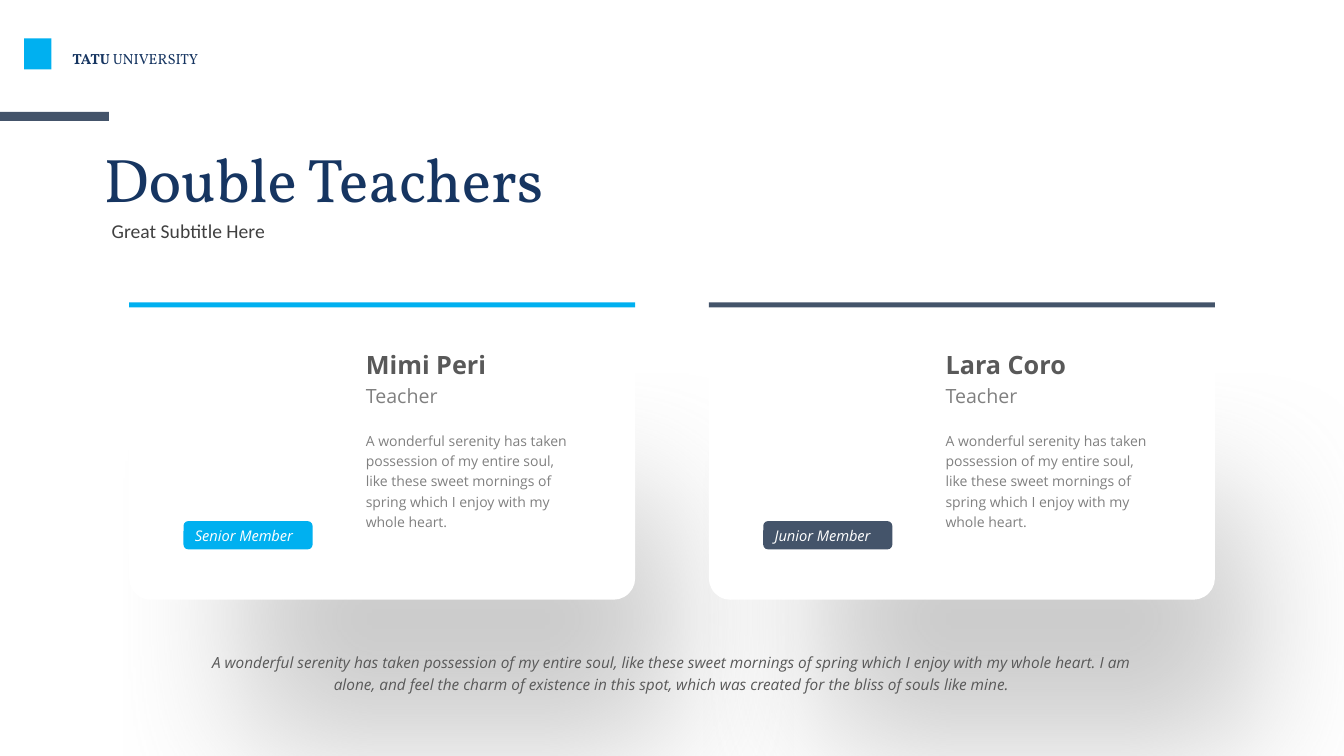
"""Build the Double Teachers slide with two profile cards."""
import pptx
import pptx.dml.color
import pptx.enum.shapes
import pptx.enum.text
import pptx.oxml
import pptx.oxml.ns
import pptx.util

RGBColor = pptx.dml.color.RGBColor
Shape = pptx.enum.shapes.MSO_SHAPE
Align = pptx.enum.text.PP_ALIGN
Anchor = pptx.enum.text.MSO_ANCHOR

WHITE = RGBColor(0xFF, 0xFF, 0xFF)
NAVY = RGBColor(0x16, 0x35, 0x61)
SLATE = RGBColor(0x44, 0x54, 0x6A)
SKY = RGBColor(0x00, 0xB0, 0xF0)
INK = RGBColor(0x40, 0x40, 0x40)
DARK_GREY = RGBColor(0x59, 0x59, 0x59)
GREY = RGBColor(0x80, 0x80, 0x80)

CARD_LEFT, CARD_TOP, CARD_PITCH = 1.28, 3, 5.75
CARD_WIDTH, CARD_HEIGHT = 5.02, 2.95
SERENITY = ("A wonderful serenity has taken possession of my entire soul, "
            "like these sweet mornings of spring which I enjoy with my whole heart.")
CLOSING = (SERENITY + " I am alone, and feel the charm of existence in this spot, "
           "which was created for the bliss of souls like mine.")
TEACHERS = [("Mimi Peri", "Teacher", "Senior Member", SKY),
            ("Lara Coro", "Teacher", "Junior Member", SLATE)]


def add_block(slide, kind, box, color):
    """Add a plain filled shape without outline or shadow."""
    block = slide.shapes.add_shape(kind, *map(pptx.util.Inches, box))
    block.fill.solid()
    block.fill.fore_color.rgb = color
    block.line.fill.background()
    block.shadow.inherit = False
    return block


def write_run(paragraph, words, size, font, color, bold=False, italic=False):
    """Add one styled run to a paragraph."""
    run = paragraph.add_run()
    run.text = words
    run.font.size = pptx.util.Pt(size)
    run.font.name = font
    run.font.color.rgb = color
    run.font.bold = bold
    run.font.italic = italic


def add_text(slide, box, runs, spacing=1, align=Align.LEFT, anchor=Anchor.TOP):
    """Add a wrapping text box holding one paragraph of runs."""
    frame = slide.shapes.add_textbox(*map(pptx.util.Inches, box)).text_frame
    frame.word_wrap = True
    frame.vertical_anchor = anchor
    paragraph = frame.paragraphs[0]
    paragraph.alignment = align
    paragraph.line_spacing = spacing
    for run in runs:
        write_run(paragraph, *run)


def add_card(slide, left):
    """Add a white card with rounded lower corners and a wide soft shadow."""
    card = add_block(slide, Shape.ROUND_2_SAME_RECTANGLE,
                     (left, CARD_TOP, CARD_WIDTH, CARD_HEIGHT), WHITE)
    card.adjustments[0] = 0.073
    card.adjustments[1] = 0
    properties = card._element.spPr
    properties.find(pptx.oxml.ns.qn("a:xfrm")).set("flipV", "1")
    properties.find(pptx.oxml.ns.qn("a:effectLst")).append(pptx.oxml.parse_xml(
        f'<a:outerShdw {pptx.oxml.ns.nsdecls("a")} blurRad="1270000" dist="1117600" '
        'dir="5400000" sx="85000" sy="85000" algn="ctr" rotWithShape="0">'
        f'<a:srgbClr val="{GREY}"><a:alpha val="40000"/></a:srgbClr></a:outerShdw>'))


def add_badge(slide, left, membership, color):
    """Add the rounded membership badge of a card."""
    badge = add_block(slide, Shape.ROUNDED_RECTANGLE,
                      (left + 0.54, CARD_TOP + 2.17, 1.28, 0.28), color)
    frame = badge.text_frame
    frame.margin_left = frame.margin_right = 0
    frame.margin_top = frame.margin_bottom = 0
    frame.vertical_anchor = Anchor.MIDDLE
    paragraph = frame.paragraphs[0]
    paragraph.alignment = Align.LEFT
    paragraph._p.get_or_add_pPr().set("indent", str(pptx.util.Inches(0.1)))
    write_run(paragraph, membership, 10.5, "Open Sans", WHITE, False, True)


def add_profile(slide, left, name, role, membership, color):
    """Fill a card with its accent bar, teacher details and badge."""
    add_block(slide, Shape.RECTANGLE, (left, CARD_TOP, CARD_WIDTH, 0.05), color)
    details = left + 2.25
    add_text(slide, (details, CARD_TOP + 1.21, 2.29, 1.1),
             [(SERENITY, 10, "Open Sans", GREY)], spacing=1.2)
    add_text(slide, (details, CARD_TOP + 0.42, 2.19, 0.4),
             [(name, 18, "Open Sans", DARK_GREY, True)])
    add_text(slide, (details, CARD_TOP + 0.76, 2.19, 0.34),
             [(role, 14, "Open Sans", GREY)])
    add_badge(slide, left, membership, color)


def add_header(slide):
    """Add the university name, title and subtitle."""
    add_block(slide, Shape.RECTANGLE, (0, 1.11, 1.08, 0.09), SLATE)
    add_block(slide, Shape.RECTANGLE, (0.24, 0.38, 0.27, 0.31), SKY)
    add_text(slide, (0.62, 0.44, 1.51, 0.28),
             [("TATU ", 10.5, "Vollkorn", NAVY, True),
              ("UNIVERSITY", 10.5, "Vollkorn", NAVY)])
    add_text(slide, (0.93, 1.2, 6.01, 1.13),
             [("Double Teachers", 44, "Vollkorn", NAVY)], anchor=Anchor.MIDDLE)
    add_text(slide, (1.01, 2.12, 3.62, 0.34),
             [("Great Subtitle Here", 14, "Calibri", INK)])


def main():
    """Build and save the slide."""
    deck = pptx.Presentation()
    deck.slide_width = pptx.util.Inches(13.33)
    deck.slide_height = pptx.util.Inches(7.5)
    slide = deck.slides.add_slide(deck.slide_layouts[6])
    card_lefts = [CARD_LEFT + CARD_PITCH * i for i in range(len(TEACHERS))]
    for left in card_lefts:
        add_card(slide, left)
    add_header(slide)
    for left, teacher in zip(card_lefts, TEACHERS):
        add_profile(slide, left, *teacher)
    add_text(slide, (1.93, 6.39, 9.47, 0.53),
             [(CLOSING, 11, "Open Sans", DARK_GREY, False, True)],
             spacing=1.2, align=Align.CENTER)
    deck.save("out.pptx")


if __name__ == "__main__":
    main()
